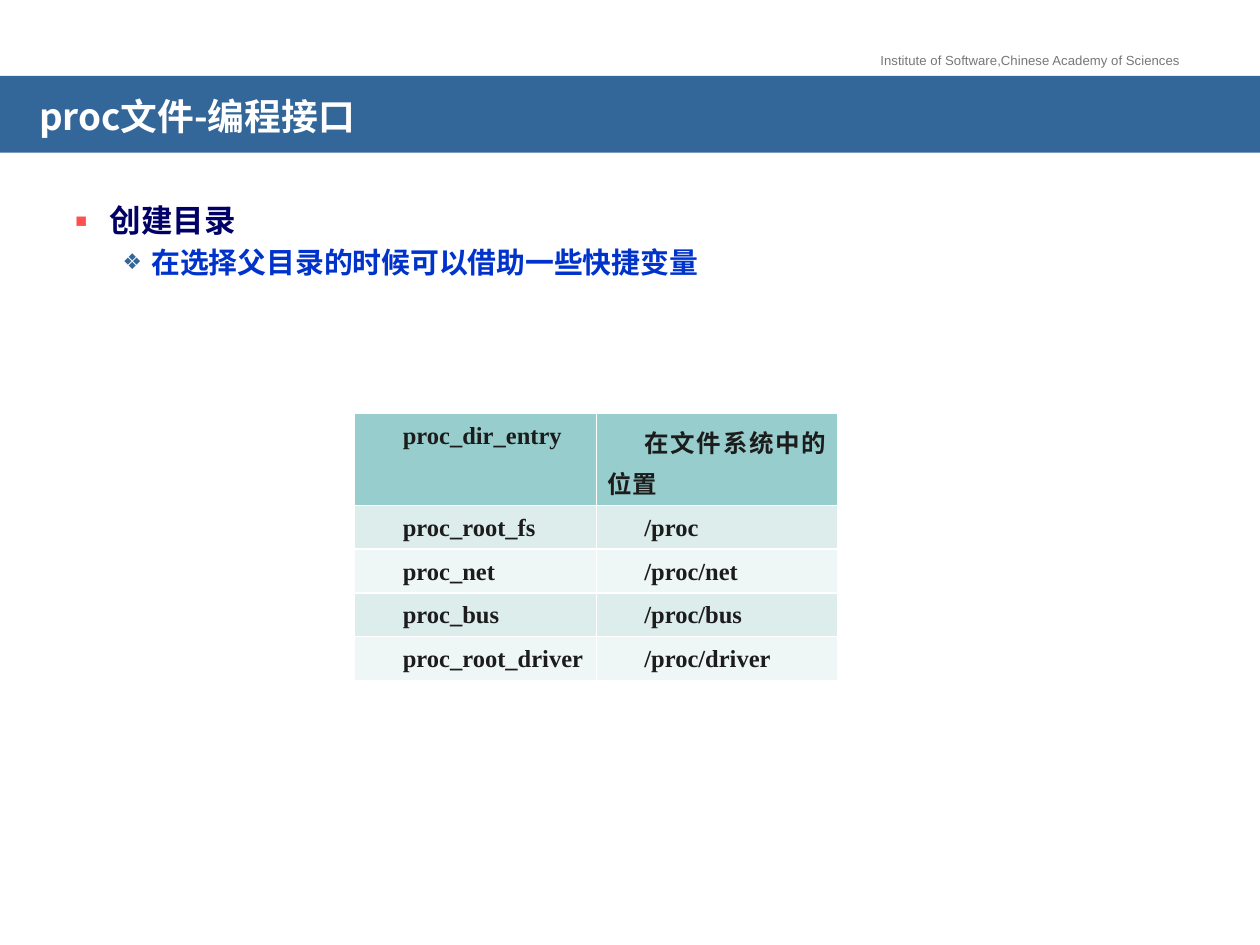
from dataclasses import dataclass

import pptx
import pptx.dml.color
import pptx.enum.text
import pptx.oxml
import pptx.oxml.ns
import pptx.util
from pptx.dml.color import RGBColor
from pptx.util import Cm

WHITE = RGBColor(0xFF, 0xFF, 0xFF)
GRAY = RGBColor(0x77, 0x77, 0x77)
BAND_BLUE = RGBColor(0x33, 0x66, 0x99)
NAVY = RGBColor(0x00, 0x00, 0x66)
BRIGHT_BLUE = RGBColor(0x00, 0x33, 0xCC)
RED = RGBColor(0xFF, 0x50, 0x50)
INK = RGBColor(0x1C, 0x1C, 0x1C)
HEADER_FILL = RGBColor(0x97, 0xCD, 0xCC)
ROW_FILLS = (RGBColor(0xDD, 0xED, 0xEC), RGBColor(0xEF, 0xF6, 0xF6))

CJK_FONT = "Noto Sans CJK SC"
SERIF_FONT = "Times New Roman"

HEADER_ROW_HEIGHT = Cm(1.85)
ROW_HEIGHT = Cm(0.84)


@dataclass(frozen=True)
class TextStyle:
    font: str
    size: float
    color: RGBColor
    bold: bool = True


@dataclass(frozen=True)
class BulletItem:
    text: str
    level: int
    style: TextStyle
    left: Cm
    hanging: Cm
    mark: str
    mark_color: RGBColor
    mark_percent: int
    space_before: float


HEADER_STYLE = TextStyle("Arial", 7.5, GRAY, False)
TITLE_STYLE = TextStyle(CJK_FONT, 21, WHITE)
CELL_STYLE = TextStyle(SERIF_FONT, 14, INK)

ITEMS = (
    BulletItem("创建目录", 0, TextStyle(SERIF_FONT, 18, NAVY),
               Cm(0.71), Cm(0.71), "▪", RED, 120, 0),
    BulletItem("在选择父目录的时候可以借助一些快捷变量", 1,
               TextStyle(SERIF_FONT, 16.5, BRIGHT_BLUE),
               Cm(1.55), Cm(0.58), "❖", BAND_BLUE, 75, 3.3),
)

ROWS = (
    ("proc_dir_entry", "在文件系统中的位置"),
    ("proc_root_fs", "/proc"),
    ("proc_net", "/proc/net"),
    ("proc_bus", "/proc/bus"),
    ("proc_root_driver", "/proc/driver"),
)


def append_xml(parent, tag: str, content: str = "", **attributes) -> None:
    listed = "".join(f' {name}="{value}"' for name, value in attributes.items())
    namespace = pptx.oxml.ns.nsdecls("a")
    parent.append(pptx.oxml.parse_xml(
        f"<a:{tag} {namespace}{listed}>{content}</a:{tag}>"))


def add_run(paragraph, text: str, style: TextStyle) -> None:
    run = paragraph.add_run()
    run.text = text
    run.font.name = style.font
    run.font.size = pptx.util.Pt(style.size)
    run.font.bold = style.bold
    run.font.color.rgb = style.color
    append_xml(run.font._element, "ea", typeface=CJK_FONT)


def place(shape, left: Cm, top: Cm, width: Cm, height: Cm) -> None:
    shape.left, shape.top, shape.width, shape.height = left, top, width, height


def add_institute(slide) -> None:
    box = slide.shapes.add_textbox(Cm(17.5), Cm(0.93), Cm(6.55), Cm(0.58))
    box.text_frame.word_wrap = False
    add_run(box.text_frame.paragraphs[0],
            "Institute of Software,Chinese Academy of Sciences", HEADER_STYLE)


def fill_title(title) -> None:
    place(title, Cm(0), Cm(1.53), Cm(25.4), Cm(1.55))
    title.fill.solid()
    title.fill.fore_color.rgb = BAND_BLUE
    frame = title.text_frame
    frame.auto_size = pptx.enum.text.MSO_AUTO_SIZE.NONE
    frame.vertical_anchor = pptx.enum.text.MSO_ANCHOR.MIDDLE
    frame.margin_left = frame.margin_right = Cm(0.79)
    frame.margin_top, frame.margin_bottom = Cm(0.41), Cm(0.13)
    paragraph = frame.paragraphs[0]
    paragraph.alignment = pptx.enum.text.PP_ALIGN.LEFT
    paragraph.line_spacing = 0.7
    add_run(paragraph, "proc文件-编程接口", TITLE_STYLE)


def add_bullet(paragraph, item: BulletItem) -> None:
    paragraph.level = item.level
    properties = paragraph._p.get_or_add_pPr()
    properties.set("marL", str(item.left))
    properties.set("indent", str(-item.hanging))
    append_xml(properties, "buClr", f'<a:srgbClr val="{item.mark_color}"/>')
    append_xml(properties, "buSzPct", val=item.mark_percent * 1000)
    append_xml(properties, "buFont", typeface="Arial")
    append_xml(properties, "buChar", char=item.mark)
    paragraph.space_before = pptx.util.Pt(item.space_before)
    add_run(paragraph, item.text, item.style)


def fill_body(body) -> None:
    place(body, Cm(1.25), Cm(3.73), Cm(22.89), Cm(13.59))
    frame = body.text_frame
    frame.auto_size = pptx.enum.text.MSO_AUTO_SIZE.NONE
    frame.margin_top = Cm(0.33)
    for index, item in enumerate(ITEMS):
        paragraph = frame.add_paragraph() if index else frame.paragraphs[0]
        add_bullet(paragraph, item)


def fill_cell(cell, text: str, color: RGBColor) -> None:
    cell.margin_left = cell.margin_right = Cm(0.23)
    cell.margin_top = cell.margin_bottom = Cm(0.1)
    properties = cell._tc.get_or_add_tcPr()
    for side in ("lnL", "lnR", "lnT", "lnB"):
        append_xml(properties, side,
                   f'<a:solidFill><a:srgbClr val="{WHITE}"/></a:solidFill>',
                   w=pptx.util.Pt(1))
    cell.fill.solid()
    cell.fill.fore_color.rgb = color
    paragraph = cell.text_frame.paragraphs[0]
    paragraph.alignment = pptx.enum.text.PP_ALIGN.JUSTIFY
    paragraph.line_spacing = 1.15
    paragraph._p.get_or_add_pPr().set("indent", str(Cm(0.74)))
    add_run(paragraph, text, CELL_STYLE)


def add_variable_table(slide) -> None:
    height = HEADER_ROW_HEIGHT + ROW_HEIGHT * (len(ROWS) - 1)
    frame = slide.shapes.add_table(len(ROWS), len(ROWS[0]),
                                   Cm(7.15), Cm(8.34), Cm(9.74), height)
    table = frame.table
    table.horz_banding = False
    for row_index, texts in enumerate(ROWS):
        table.rows[row_index].height = ROW_HEIGHT if row_index else HEADER_ROW_HEIGHT
        color = ROW_FILLS[(row_index - 1) % 2] if row_index else HEADER_FILL
        for column_index, text in enumerate(texts):
            fill_cell(table.cell(row_index, column_index), text, color)


def main() -> None:
    presentation = pptx.Presentation()
    presentation.slide_width = Cm(25.4)
    presentation.slide_height = Cm(19.05)
    slide = presentation.slides.add_slide(presentation.slide_layouts[1])
    add_institute(slide)
    fill_title(slide.shapes.title)
    fill_body(slide.placeholders[1])
    add_variable_table(slide)
    presentation.save("out.pptx")


if __name__ == "__main__":
    main()
